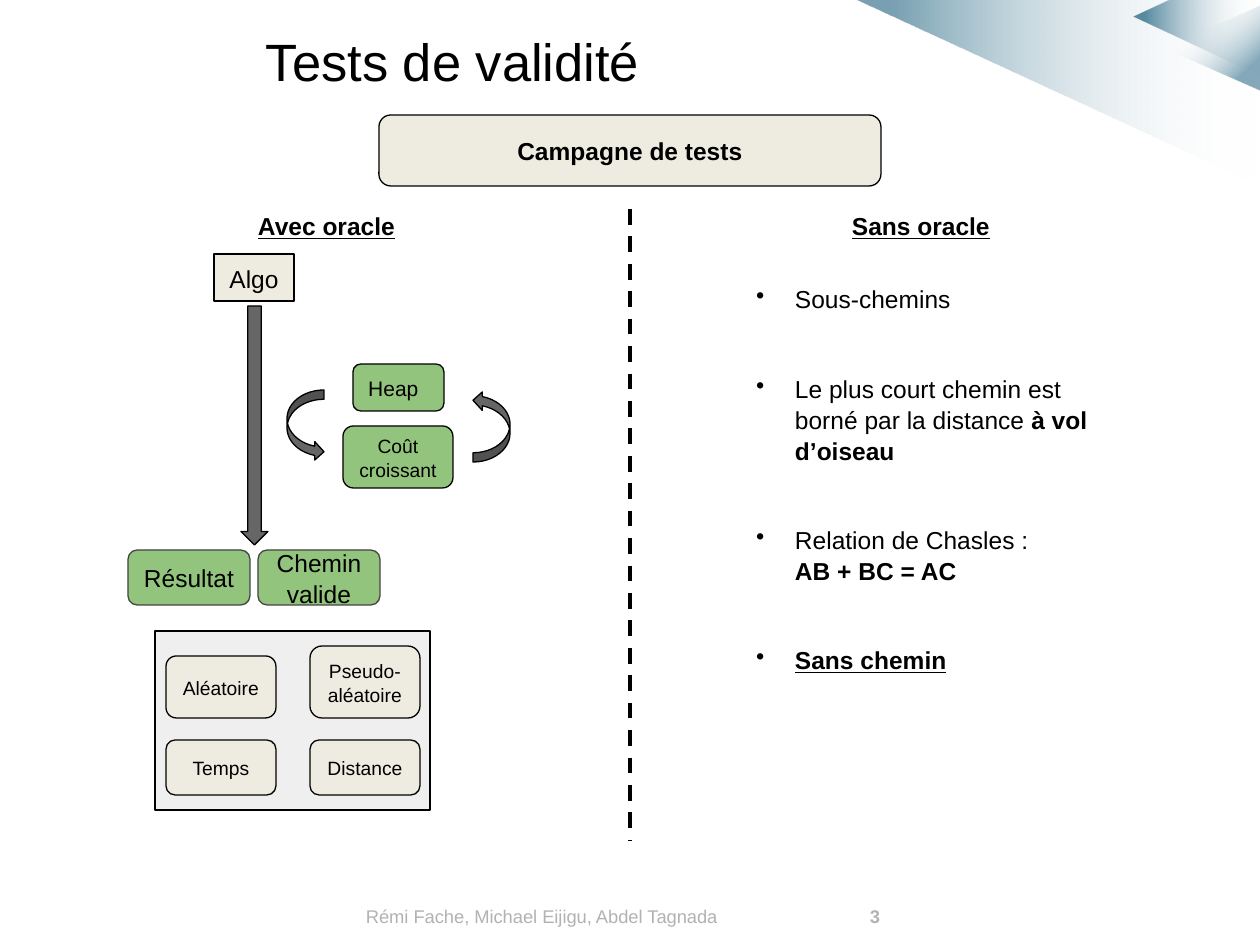
from dataclasses import dataclass

from lxml import etree
from pptx import Presentation
from pptx.dml.color import RGBColor
from pptx.enum.dml import MSO_LINE
from pptx.enum.shapes import MSO_CONNECTOR, MSO_SHAPE
from pptx.enum.text import MSO_ANCHOR, PP_ALIGN
from pptx.oxml import parse_xml
from pptx.oxml.ns import nsdecls, qn
from pptx.util import Emu, Pt

RECT, ROUNDED = MSO_SHAPE.RECTANGLE, MSO_SHAPE.ROUNDED_RECTANGLE
DOWN, CURVED = MSO_SHAPE.DOWN_ARROW, MSO_SHAPE.CURVED_RIGHT_ARROW
LEFT, CENTER = PP_ALIGN.LEFT, PP_ALIGN.CENTER
TOP, MIDDLE = MSO_ANCHOR.TOP, MSO_ANCHOR.MIDDLE
PX_PER_INCH = 126
SCALE = 914400 / PX_PER_INCH
INSET = 13


@dataclass(frozen=True)
class Theme:
    font: str = "Arial"
    ink: str = "000000"
    cream: str = "EEECE1"
    green: str = "93C47D"
    panel: str = "EFEFEF"
    arrow: str = "666666"
    soft_line: str = "434343"
    footer: str = "B2B2B2"
    corner: str = "004D6F"
    clear: str = "FFFFFF"
    title_size: float = 30
    text_size: float = 14
    heap_size: float = 12
    small_size: float = 11
    footer_size: float = 10.5
    line_spacing: float = 1.05


THEME = Theme()


@dataclass(frozen=True)
class Span:
    text: str
    bold: bool = False
    underline: bool = False
    new_line: bool = False


@dataclass(frozen=True)
class Area:
    left: int
    top: int
    width: int
    height: int


@dataclass(frozen=True)
class Block:
    area: Area
    fill: str
    kind: int = ROUNDED
    text: str = ""
    size: float = THEME.text_size
    line: str = THEME.ink
    bold: bool = False
    align: int = CENTER
    rotation: int = 0


@dataclass(frozen=True)
class Corner:
    points: tuple
    stops: tuple  # position %, colour, opacity %
    angle: int


def px(length: float) -> Emu:
    return Emu(round(length * SCALE))


def place(area: Area) -> tuple:
    return px(area.left), px(area.top), px(area.width), px(area.height)


def write(shape, paragraphs, size: float, align=LEFT, anchor=TOP,
          color: str = THEME.ink, inset_y: int = INSET) -> list:
    frame = shape.text_frame
    frame.word_wrap = True
    frame.vertical_anchor = anchor
    frame.margin_left = frame.margin_right = px(INSET)
    frame.margin_top = frame.margin_bottom = px(inset_y)
    for index, spans in enumerate(paragraphs):
        para = frame.add_paragraph() if index else frame.paragraphs[0]
        para.alignment = align
        para.line_spacing = THEME.line_spacing
        for span in spans:
            if span.new_line:
                para.add_line_break()
            run = para.add_run()
            run.text = span.text
            run.font.name = THEME.font
            run.font.size = Pt(size)
            run.font.bold = span.bold
            run.font.underline = span.underline
            run.font.color.rgb = RGBColor.from_string(color)
    return list(frame.paragraphs)


def draw_text(slide, area: Area, paragraphs, size: float, **options) -> list:
    return write(slide.shapes.add_textbox(*place(area)), paragraphs, size, **options)


def draw_block(slide, block: Block) -> None:
    shape = slide.shapes.add_shape(block.kind, *place(block.area))
    shape.shadow.inherit = False
    shape.rotation = block.rotation
    shape.fill.solid()
    shape.fill.fore_color.rgb = RGBColor.from_string(block.fill)
    shape.line.color.rgb = RGBColor.from_string(block.line)
    shape.line.width = Pt(0.75)
    if block.text:
        paragraphs = [[Span(line, block.bold)] for line in block.text.split("\n")]
        write(shape, paragraphs, block.size, block.align, MIDDLE)


def draw_corner(slide, corner: Corner) -> None:
    start, *others = corner.points
    builder = slide.shapes.build_freeform(*start, scale=SCALE)
    builder.add_line_segments(others, close=True)
    shape = builder.convert_to_shape()
    shape.shadow.inherit = False
    shape.line.fill.background()
    shape.fill.gradient()
    stops = "".join(
        f'<a:gs pos="{position * 1000}"><a:srgbClr val="{color}">'
        f'<a:alpha val="{opacity * 1000}"/></a:srgbClr></a:gs>'
        for position, color, opacity in corner.stops)
    gradient = parse_xml(
        f'<a:gradFill {nsdecls("a")} rotWithShape="1"><a:gsLst>{stops}</a:gsLst>'
        f'<a:lin ang="{corner.angle * 60000}" scaled="0"/></a:gradFill>')
    properties = shape.element.spPr
    properties.replace(properties.find(qn("a:gradFill")), gradient)


def draw_divider(slide, x: int, top: int, bottom: int) -> None:
    line = slide.shapes.add_connector(
        MSO_CONNECTOR.STRAIGHT, px(x), px(top), px(x), px(bottom))
    line.line.color.rgb = RGBColor.from_string(THEME.ink)
    line.line.width = Pt(2.25)
    line.line.dash_style = MSO_LINE.DASH
    etree.SubElement(line.element.spPr, qn("a:effectLst"))


def add_bullet(para) -> None:
    properties = para._p.get_or_add_pPr()
    properties.set("marL", str(px(39)))
    properties.set("indent", str(-px(39)))
    etree.SubElement(properties, qn("a:buChar"), char="•")


def add_tab(para, position: int) -> None:
    tabs = etree.SubElement(para._p.get_or_add_pPr(), qn("a:tabLst"))
    etree.SubElement(tabs, qn("a:tab"), pos=str(px(position)), algn="l")


def fade(opacity: int) -> tuple:
    return ((0, THEME.corner, opacity), (9, THEME.corner, opacity),
            (99, THEME.clear, 0), (100, THEME.clear, 0))


CORNERS = (
    Corner(((856, 0), (1260, 0), (1260, 185)), fade(53), 0),
    Corner(((1134, 17), (1171, 0), (1260, 0), (1260, 75)), fade(63), 0),
    Corner(((1166, 49), (1260, 6), (1260, 91)),
           ((0, THEME.clear, 0), (27, THEME.clear, 0),
            (81, THEME.corner, 48), (100, THEME.corner, 48)), 45),
)

# Test kinds: two columns inside the grey panel
COLUMNS = (166, 310)
KINDS = [
    Block(Area(COLUMNS[column], top, 110, height), THEME.cream, text=text,
          size=THEME.small_size)
    for column, top, height, text in (
        (0, 656, 62, "Aléatoire"), (1, 646, 72, "Pseudo-aléatoire"),
        (0, 740, 55, "Temps"), (1, 740, 55, "Distance"))
]
OUTCOMES = [
    Block(Area(left, 550, 122, 55), THEME.green, text=text, line=THEME.soft_line)
    for left, text in ((128, "Résultat"), (258, "Chemin valide"))
]
BLOCKS = [
    Block(Area(155, 631, 275, 179), THEME.panel, RECT),
    Block(Area(379, 115, 502, 71), THEME.cream, text="Campagne de tests", bold=True),
    Block(Area(241, 306, 27, 239), THEME.arrow, DOWN),
    Block(Area(287, 390, 37, 71), THEME.arrow, CURVED),
    Block(Area(353, 364, 91, 47), THEME.green, text="Heap",
          size=THEME.heap_size, align=LEFT),
    Block(Area(343, 426, 110, 62), THEME.green, text="Coût\ncroissant",
          size=THEME.small_size),
    Block(Area(473, 391, 37, 71), THEME.arrow, CURVED, rotation=180),
    Block(Area(214, 254, 80, 47), THEME.cream, RECT, "Algo"),
    *OUTCOMES,
    *KINDS,
]
HEADINGS = ((245, "Avec oracle"), (839, "Sans oracle"))
CHECKS = (
    (Span("Sous-chemins"),),
    (Span("Le plus court chemin est borné par la distance"),
     Span(" à vol d’oiseau", bold=True)),
    (Span("Relation de Chasles :"), Span("AB + BC = AC", bold=True, new_line=True)),
    (Span("Sans chemin", bold=True, underline=True),),
)


def main() -> None:
    deck = Presentation()
    deck.slide_width, deck.slide_height = px(1260), px(945)
    slide = deck.slides.add_slide(deck.slide_layouts[6])

    # Corner decoration and title
    for corner in CORNERS:
        draw_corner(slide, corner)
    draw_text(slide, Area(253, 16, 635, 98), [[Span("Tests de validité")]],
              THEME.title_size, inset_y=10)

    # Diagram and divider
    for block in BLOCKS:
        draw_block(slide, block)
    draw_divider(slide, 630, 209, 840)

    # Column headings and checks without an oracle
    for left, text in HEADINGS:
        draw_text(slide, Area(left, 197, 175, 47),
                  [[Span(text, bold=True, underline=True)]], THEME.text_size)
    checks = draw_text(slide, Area(743, 270, 362, 465), CHECKS, THEME.text_size)
    for index, para in enumerate(checks):
        para.space_before = Pt(33.5 if index else 0)
        add_bullet(para)

    # Footer with page number
    footer = [Span("Rémi Fache, Michael Eijigu, Abdel Tagnada\t"), Span("3", bold=True)]
    paras = draw_text(slide, Area(353, 892, 668, 47), [footer], THEME.footer_size,
                      anchor=MIDDLE, color=THEME.footer, inset_y=6)
    add_tab(paras[0], 504)

    deck.save("out.pptx")


if __name__ == "__main__":
    main()
